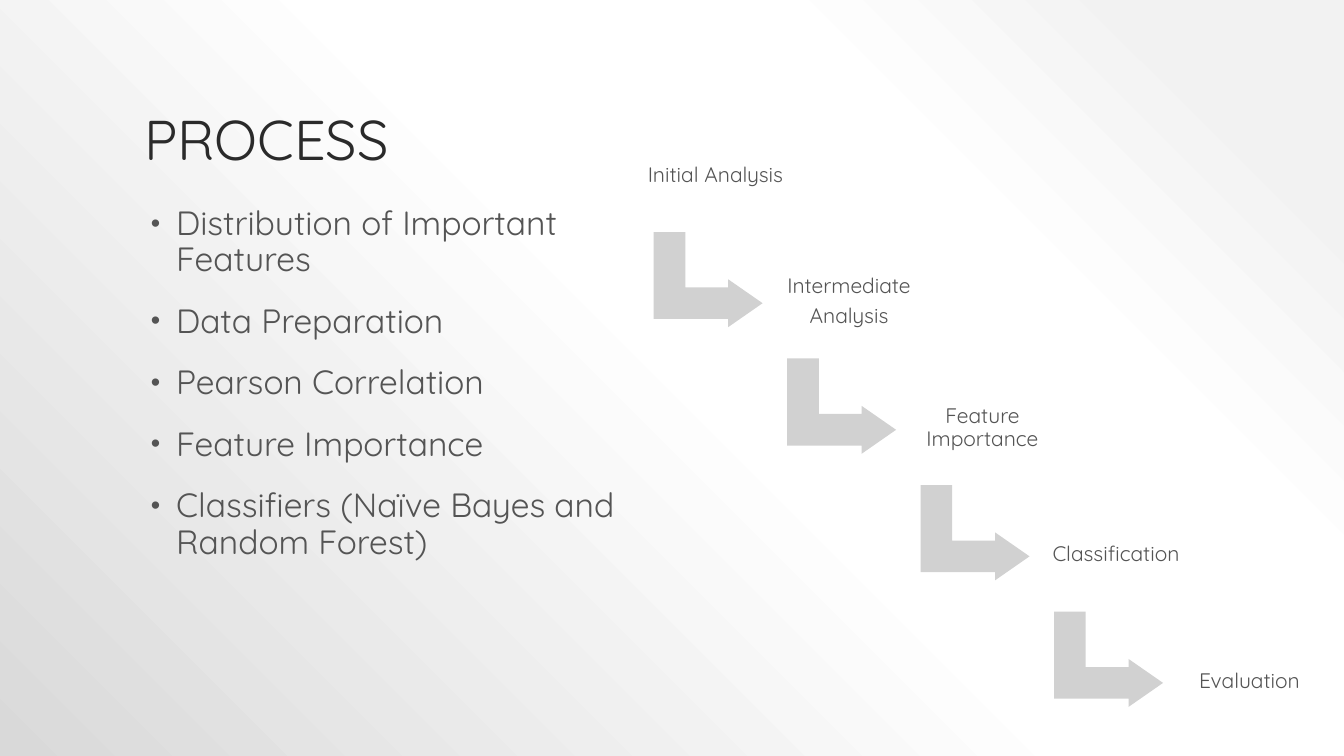
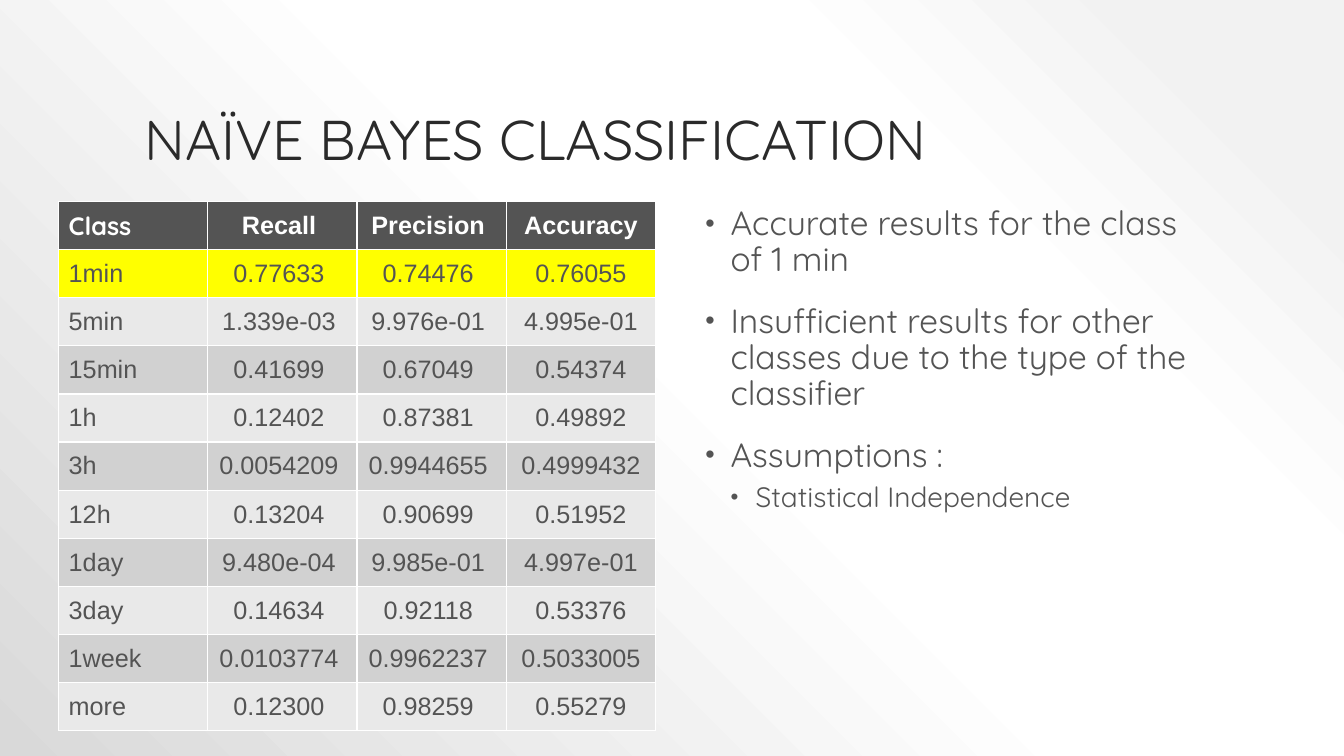
"""Build two slides: an analysis process and the results of a naïve Bayes classifier."""
from lxml import etree
from pptx import Presentation
from pptx import util as u
from pptx.dml.color import RGBColor
from pptx.enum import shapes, text
from pptx.oxml import ns, parse_xml

Pt = u.Pt
FONT, TABLE_FONT = "Quicksand", "Arial"
COLORS = {
    "title": "2A2A2A", "text": "545454", "white": "FFFFFF", "arrow": "D1D1D1",
    "header": "545454", "highlight": "FFFF00", "light": "E9E9E9", "dark": "D1D1D1",
}
GRADIENT = [(10, "F2F2F2"), (28, "FFFFFF"), (48, "FFFFFF"), (100, "D9D9D9")]

PROCESS_TITLE = "PROCESS"
PROCESS_POINTS = [
    (0, "Distribution of Important Features"),
    (0, "Data Preparation"),
    (0, "Pearson Correlation"),
    (0, "Feature Importance"),
    (0, "Classifiers (Naïve Bayes and Random Forest)"),
]
STEPS = [
    ["Initial Analysis"],
    ["Intermediate", "Analysis"],
    ["Feature Importance"],
    ["Classification"],
    ["Evaluation"],
]

BAYES_TITLE = "NAÏVE BAYES CLASSIFICATION"
BAYES_POINTS = [
    (0, "Accurate results for the class of 1 min"),
    (0, "Insufficient results for other classes due to the type of the classifier"),
    (0, "Assumptions :"),
    (1, "Statistical Independence"),
]
RESULTS = [
    ("Class", "Recall", "Precision", "Accuracy"),
    ("1min", "0.77633", "0.74476", "0.76055"),
    ("5min", "1.339e-03", "9.976e-01", "4.995e-01"),
    ("15min", "0.41699", "0.67049", "0.54374"),
    ("1h", "0.12402", "0.87381", "0.49892"),
    ("3h", "0.0054209", "0.9944655", "0.4999432"),
    ("12h", "0.13204", "0.90699", "0.51952"),
    ("1day", "9.480e-04", "9.985e-01", "4.997e-01"),
    ("3day", "0.14634", "0.92118", "0.53376"),
    ("1week", "0.0103774", "0.9962237", "0.5033005"),
    ("more", "0.12300", "0.98259", "0.55279"),
]

SLIDE_SIZE = (960, 540)
TITLE_BOX = (96, 21.6, 768, 105.4)
BODY_TOP, BODY_WIDTH, BODY_HEIGHT = 144, 371, 342
LEVELS = [
    {"size": 24, "before": 18, "indent": 21.6},
    {"size": 20, "before": 6, "indent": 39.6},
]
HANGING = 18
STEP_START, STEP_PITCH, STEP_SIZE = (453.6, 85), (95.35, 90.4), (115, 80.6)
ARROW_OFFSET, ARROW_SIZE = (18, 75.6), (68.4, 77.8)
TABLE_BOX = (41.9, 144, 426.4, 378)


def write(paragraph, content, size=18, color="text", font=FONT, bold=False,
          align=text.PP_ALIGN.LEFT, spacing=0.9, before=0, after=0):
    """Put formatted text into a paragraph."""
    run = paragraph.add_run()
    run.text = content
    run.font.size, run.font.name, run.font.bold = Pt(size), font, bold
    run.font.color.rgb = RGBColor.from_string(COLORS[color])
    paragraph.alignment, paragraph.line_spacing = align, spacing
    paragraph.space_before, paragraph.space_after = Pt(before), Pt(after)


def add_paragraphs(frame, count):
    """Return the given number of paragraphs, starting with the existing one."""
    return [frame.paragraphs[0]] + [frame.add_paragraph() for _ in range(count - 1)]


def place(shape, left, top, width, height):
    """Move and size a shape, in points."""
    shape.left, shape.top, shape.width, shape.height = map(Pt, (left, top, width, height))


def set_background(master):
    """Give the master a gradient that spreads from the top right corner."""
    master.background.fill.gradient()
    old = master.element.find(".//" + ns.qn("p:bgPr") + "/" + ns.qn("a:gradFill"))
    stops = "".join(f'<a:gs pos="{position * 1000}"><a:srgbClr val="{color}"/></a:gs>'
                    for position, color in GRADIENT)
    old.getparent().replace(old, parse_xml(
        f'<a:gradFill {ns.nsdecls("a")} rotWithShape="1"><a:gsLst>{stops}</a:gsLst>'
        '<a:path path="circle"><a:fillToRect l="100000" b="100000"/></a:path></a:gradFill>'))


def add_bullet(paragraph, indent):
    """Give a paragraph a hanging round bullet."""
    properties = paragraph._p.get_or_add_pPr()
    properties.set("marL", str(Pt(indent)))
    properties.set("indent", str(-Pt(HANGING)))
    color = etree.SubElement(properties, ns.qn("a:buClr"))
    etree.SubElement(color, ns.qn("a:srgbClr"), val=COLORS["text"])
    etree.SubElement(properties, ns.qn("a:buSzPct"), val="80000")
    etree.SubElement(properties, ns.qn("a:buFont"), typeface="Arial")
    etree.SubElement(properties, ns.qn("a:buChar"), char="•")


def add_slide(presentation, title, points, body_left):
    """Add a slide with a title and a bulleted list."""
    slide = presentation.slides.add_slide(presentation.slide_layouts[1])
    heading, body = slide.shapes.title, slide.placeholders[1]
    place(heading, *TITLE_BOX)
    place(body, body_left, BODY_TOP, BODY_WIDTH, BODY_HEIGHT)
    for shape, anchor in ((heading, text.MSO_ANCHOR.BOTTOM), (body, text.MSO_ANCHOR.TOP)):
        shape.text_frame.vertical_anchor = anchor
        shape.text_frame.auto_size = text.MSO_AUTO_SIZE.NONE
    write(heading.text_frame.paragraphs[0], title, size=40, color="title")
    for paragraph, (level, content) in zip(add_paragraphs(body.text_frame, len(points)), points):
        style = LEVELS[level]
        paragraph.level = level
        write(paragraph, content, size=style["size"], before=style["before"])
        add_bullet(paragraph, style["indent"])
    return slide


def add_block(slide, kind, color, box):
    """Add a plain filled shape."""
    shape = slide.shapes.add_shape(kind, *map(Pt, box))
    shape.shadow.inherit = False
    shape.fill.solid()
    shape.fill.fore_color.rgb = RGBColor.from_string(COLORS[color])
    shape.line.fill.background()
    return shape


def add_staircase(slide):
    """Add the steps going down to the right, joined by bent arrows."""
    for index, lines in enumerate(STEPS):
        left, top = (start + index * pitch for start, pitch in zip(STEP_START, STEP_PITCH))
        if index < len(STEPS) - 1:
            arrow = add_block(slide, shapes.MSO_SHAPE.BENT_UP_ARROW, "arrow",
                              (left + ARROW_OFFSET[0], top + ARROW_OFFSET[1], *ARROW_SIZE))
            arrow.rotation = 90
            for number, value in enumerate((0.33, 0.25, 0.36)):
                arrow.adjustments[number] = value
        step = add_block(slide, shapes.MSO_SHAPE.ROUNDED_RECTANGLE, "white",
                         (left, top, *STEP_SIZE))
        frame = step.text_frame
        frame.word_wrap = True
        frame.vertical_anchor = text.MSO_ANCHOR.MIDDLE
        frame.margin_left = frame.margin_right = Pt(4.3)
        frame.margin_top = frame.margin_bottom = Pt(4.3)
        for paragraph, line in zip(add_paragraphs(frame, len(lines)), lines):
            write(paragraph, line, size=15, align=text.PP_ALIGN.CENTER, after=5.25)


def row_color(row):
    """Return the fill of a table row: header, highlight, then bands."""
    return ("header", "highlight")[row] if row < 2 else ("light", "dark")[row % 2]


def add_results(slide):
    """Add the table of classification results."""
    rows, columns = len(RESULTS), len(RESULTS[0])
    table = slide.shapes.add_table(rows, columns, *map(Pt, TABLE_BOX)).table
    for row, values in enumerate(RESULTS):
        table.rows[row].height = Pt(TABLE_BOX[3] / rows)
        for column, value in enumerate(values):
            cell = table.cell(row, column)
            cell.fill.solid()
            cell.fill.fore_color.rgb = RGBColor.from_string(COLORS[row_color(row)])
            cell.vertical_anchor = text.MSO_ANCHOR.MIDDLE
            if 0 < column < columns - 1:
                cell.margin_left = Pt(2.2)
            write(cell.text_frame.paragraphs[0], value, spacing=1, bold=row == 0,
                  color="text" if row else "white",
                  font=TABLE_FONT if row or column else FONT,
                  align=text.PP_ALIGN.CENTER if column else text.PP_ALIGN.LEFT)


def main():
    """Build and save the presentation."""
    presentation = Presentation()
    presentation.slide_width, presentation.slide_height = map(Pt, SLIDE_SIZE)
    set_background(presentation.slide_master)
    add_staircase(add_slide(presentation, PROCESS_TITLE, PROCESS_POINTS, body_left=97))
    add_results(add_slide(presentation, BAYES_TITLE, BAYES_POINTS, body_left=493))
    presentation.save("out.pptx")


if __name__ == "__main__":
    main()
